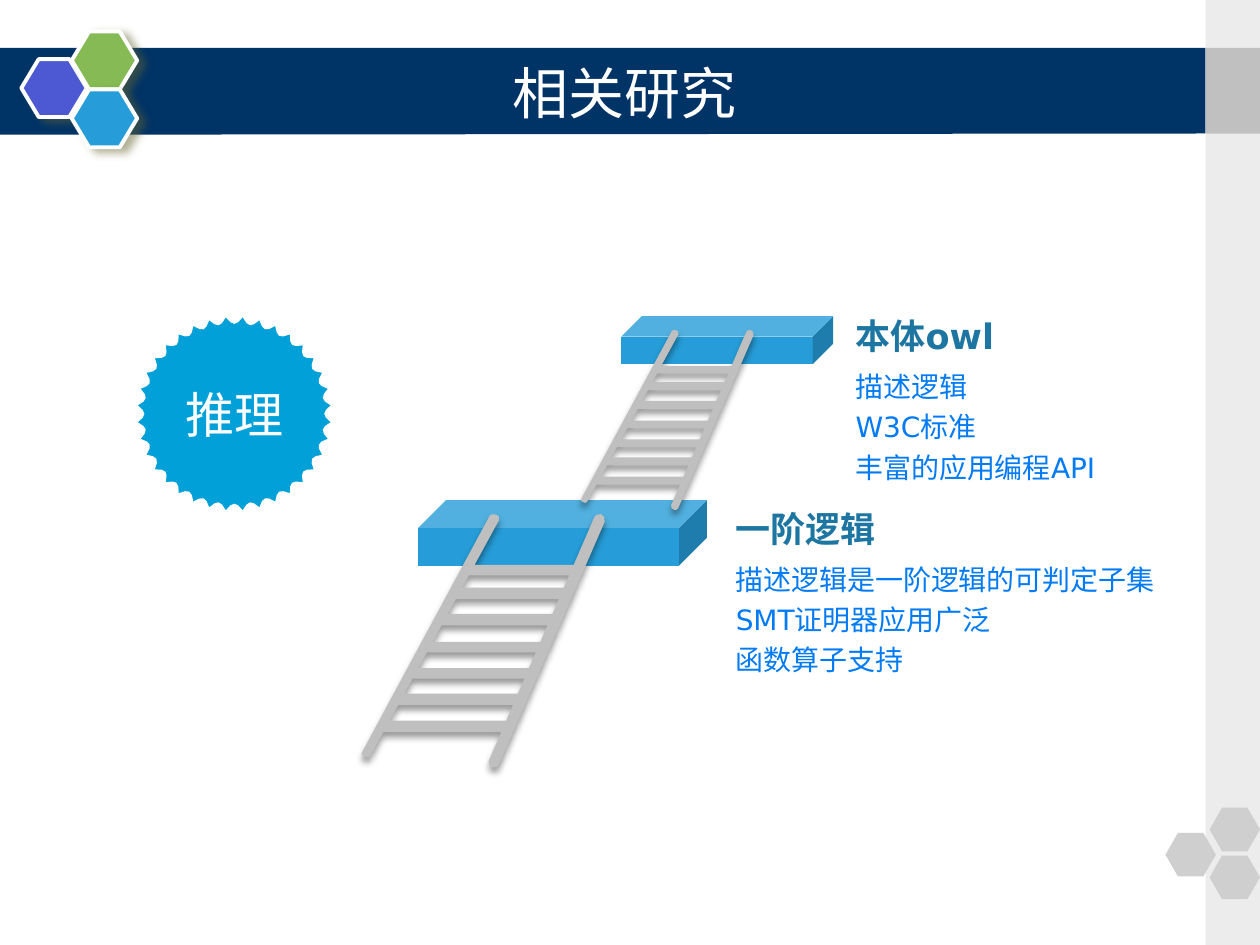
from dataclasses import dataclass
from math import cos, radians, sin
from typing import Optional

from lxml.etree import SubElement
from pptx import Presentation
from pptx.dml.color import RGBColor
from pptx.enum.shapes import MSO_SHAPE
from pptx.enum.text import MSO_ANCHOR, PP_ALIGN
from pptx.oxml.ns import qn
from pptx.util import Pt

FONT = "DejaVu Sans"
Point = tuple[float, float]


@dataclass(frozen=True)
class Shadow:
    color: str
    alpha: int
    blur: float
    distance: float
    angle: int


@dataclass(frozen=True)
class Block:
    preset: MSO_SHAPE
    left: float
    top: float
    width: float
    height: float
    fill: str
    adjustment: Optional[float] = None
    outline: Optional[str] = None
    shadow: Optional[Shadow] = None


@dataclass(frozen=True)
class TextStyle:
    size: float
    color: str
    bold: bool = False
    spacing: float = 1.0
    align: PP_ALIGN = PP_ALIGN.LEFT
    anchor: MSO_ANCHOR = MSO_ANCHOR.TOP


@dataclass(frozen=True)
class Topic:
    left: float
    heading_top: float
    details_top: float
    width: float
    heading: str
    details: tuple[str, ...]


@dataclass(frozen=True)
class Ladder:
    left: float
    top: float
    scale: float


HEX_SHADOW = Shadow("666633", 50, 5, 4.5, 28)
LADDER_SHADOW = Shadow("000000", 40, 4, 3, 90)
TITLE = TextStyle(32, "FFFFFF", align=PP_ALIGN.CENTER, anchor=MSO_ANCHOR.MIDDLE)
BADGE = TextStyle(28, "FFFFFF", align=PP_ALIGN.CENTER, anchor=MSO_ANCHOR.MIDDLE)
HEADING = TextStyle(20, "1D76A2", bold=True, spacing=1.3, anchor=MSO_ANCHOR.BOTTOM)
DETAIL = TextStyle(16, "007AF5", spacing=1.2)

EMBLEM = [
    Block(MSO_SHAPE.HEXAGON, left, top, 37.4, 33.1, fill, 0.3, "FFFFFF", HEX_SHADOW)
    for left, top, fill in ((12.2, 33.8, "4C59D2"), (41, 18, "85BA54"), (41, 51.1, "269DD8"))
]
SIDEBAR = [
    Block(MSO_SHAPE.RECTANGLE, 689, 0, 31, 540, "ECECEC"),
    Block(MSO_SHAPE.RECTANGLE, 689, 27.4, 31, 49, "C0C0C0"),
]
CORNER = [
    Block(MSO_SHAPE.HEXAGON, left, top, 28.8, 25, "CFCFCF", 0.286)
    for left, top in ((666, 475.9), (691.2, 461.5), (691.2, 488.9))
]
STEPS = [
    (Block(MSO_SHAPE.CUBE, 239, 285.8, 164.9, 37.4, "269DD8", 0.424), Ladder(206.6, 293.8, 1)),
    (Block(MSO_SHAPE.CUBE, 355, 180.7, 121, 27.4, "269DD8", 0.424), Ladder(331.9, 188.6, 0.71)),
]
TOPICS = [
    Topic(488.9, 162, 207.4, 158.4, "本体owl", ("描述逻辑", "W3C标准", "丰富的应用编程API")),
    Topic(420.5, 272.2, 317.5, 299.5, "一阶逻辑",
          ("描述逻辑是一阶逻辑的可判定子集", "SMT证明器应用广泛", "函数算子支持")),
]

RUNG_GAPS = [(35, 42), (48.5, 57), (63.5, 73), (79, 88), (94, 102.5), (109, 118)]
TOP_RUNG, BOTTOM_RUNG = 29, 124.5


def rgb(color: str) -> RGBColor:
    return RGBColor.from_string(color)


def add_shadow(shape, shadow: Shadow) -> None:
    effects = shape._element.spPr.find(qn("a:effectLst"))
    outer = SubElement(effects, qn("a:outerShdw"), blurRad=str(Pt(shadow.blur)),
                       dist=str(Pt(shadow.distance)), dir=str(shadow.angle * 60000),
                       algn="ctr", rotWithShape="0")
    tint = SubElement(outer, qn("a:srgbClr"), val=shadow.color)
    SubElement(tint, qn("a:alpha"), val=str(shadow.alpha * 1000))


def paint(shape, fill: str, outline: Optional[str] = None, weight: float = 2.25,
          shadow: Optional[Shadow] = None) -> None:
    shape.fill.solid()
    shape.fill.fore_color.rgb = rgb(fill)
    if outline:
        shape.line.color.rgb = rgb(outline)
        shape.line.width = Pt(weight)
    else:
        shape.line.fill.background()
    shape.shadow.inherit = False
    if shadow:
        add_shadow(shape, shadow)


def draw_block(shapes, block: Block) -> None:
    shape = shapes.add_shape(block.preset, Pt(block.left), Pt(block.top),
                             Pt(block.width), Pt(block.height))
    if block.adjustment is not None:
        shape.adjustments[0] = block.adjustment
    paint(shape, block.fill, block.outline, shadow=block.shadow)


def draw_outline(shapes, contours: list[list[Point]]):
    first, *holes = [[(Pt(x), Pt(y)) for x, y in contour] for contour in contours]
    builder = shapes.build_freeform(*first[0])
    builder.add_line_segments(first[1:])
    for hole in holes:
        builder.move_to(*hole[0])
        builder.add_line_segments(hole[1:])
    return builder.convert_to_shape()


def write(frame, lines: tuple[str, ...], style: TextStyle) -> None:
    frame.word_wrap = True
    frame.vertical_anchor = style.anchor
    frame.margin_left = frame.margin_right = frame.margin_top = frame.margin_bottom = 0
    for index, line in enumerate(lines):
        paragraph = frame.add_paragraph() if index else frame.paragraphs[0]
        paragraph.alignment = style.align
        paragraph.line_spacing = style.spacing
        run = paragraph.add_run()
        run.text = line
        run.font.name = FONT
        run.font.size = Pt(style.size)
        run.font.bold = style.bold
        run.font.color.rgb = rgb(style.color)


def draw_text(shapes, left: float, top: float, width: float, height: float,
              lines: tuple[str, ...], style: TextStyle) -> None:
    box = shapes.add_textbox(Pt(left), Pt(top), Pt(width), Pt(height))
    write(box.text_frame, lines, style)


def left_rail(y: float) -> Point:
    return 78.5 - 0.5455 * (y - 3.6), y


def right_rail(y: float) -> Point:
    return 133.2 - 0.433 * (y - 1.4), y


def draw_ladder(shapes, ladder: Ladder) -> None:
    frame = [(73.4, 0.7), (75, 0), (77, 0.3), (78.6, 1.5), (78.5, 3.6),
             left_rail(TOP_RUNG), right_rail(TOP_RUNG),
             (133.2, 1.4), (134.5, 0.3), (136.8, 0), (138.6, 1.5), (139, 4.3),
             (78.5, 143.3), (77, 144.7), (75, 144.7), (73, 143.3), (72.7, 141),
             right_rail(BOTTOM_RUNG), left_rail(BOTTOM_RUNG),
             (5, 138.3), (3.8, 139.2), (1.5, 138.5), (0, 137), (0.7, 135.4)]
    holes = [[left_rail(top), left_rail(bottom), right_rail(bottom), right_rail(top)]
             for top, bottom in RUNG_GAPS]
    contours = [[(ladder.left + x * ladder.scale, ladder.top + y * ladder.scale)
                 for x, y in contour] for contour in [frame, *holes]]
    paint(draw_outline(shapes, contours), "BFBFBF", shadow=LADDER_SHADOW)


def draw_badge(shapes, label: str) -> None:
    tooth = [(0, 63.6), (1.2, 59.8), (2.6, 57), (5, 54.4), (7.4, 57), (8.8, 59.8)]
    rim = [(133.9 + radius * sin(radians(start + turn)),
            236.5 - radius * cos(radians(start + turn)))
           for start in range(5, 365, 10) for turn, radius in tooth]
    badge = draw_outline(shapes, [rim])
    paint(badge, "02A0D8", "FFFFFF", 6)
    write(badge.text_frame, (label,), BADGE)


def main() -> None:
    deck = Presentation()
    deck.slide_width, deck.slide_height = Pt(720), Pt(540)
    shapes = deck.slides.add_slide(deck.slide_layouts[6]).shapes

    banner = draw_outline(shapes, [[(-2, 27.4), (689, 27.4), (689, 76.3), (-2, 77)]])
    paint(banner, "003366")
    for block in EMBLEM + SIDEBAR + CORNER:
        draw_block(shapes, block)
    for platform, ladder in STEPS:
        draw_block(shapes, platform)
        draw_ladder(shapes, ladder)

    draw_text(shapes, 90, 30.2, 534.2, 44.6, ("相关研究",), TITLE)
    for topic in TOPICS:
        draw_text(shapes, topic.left, topic.heading_top, topic.width, 42, (topic.heading,), HEADING)
        draw_text(shapes, topic.left, topic.details_top, topic.width, 72, topic.details, DETAIL)
    draw_badge(shapes, "推理")
    deck.save("out.pptx")


if __name__ == "__main__":
    main()
